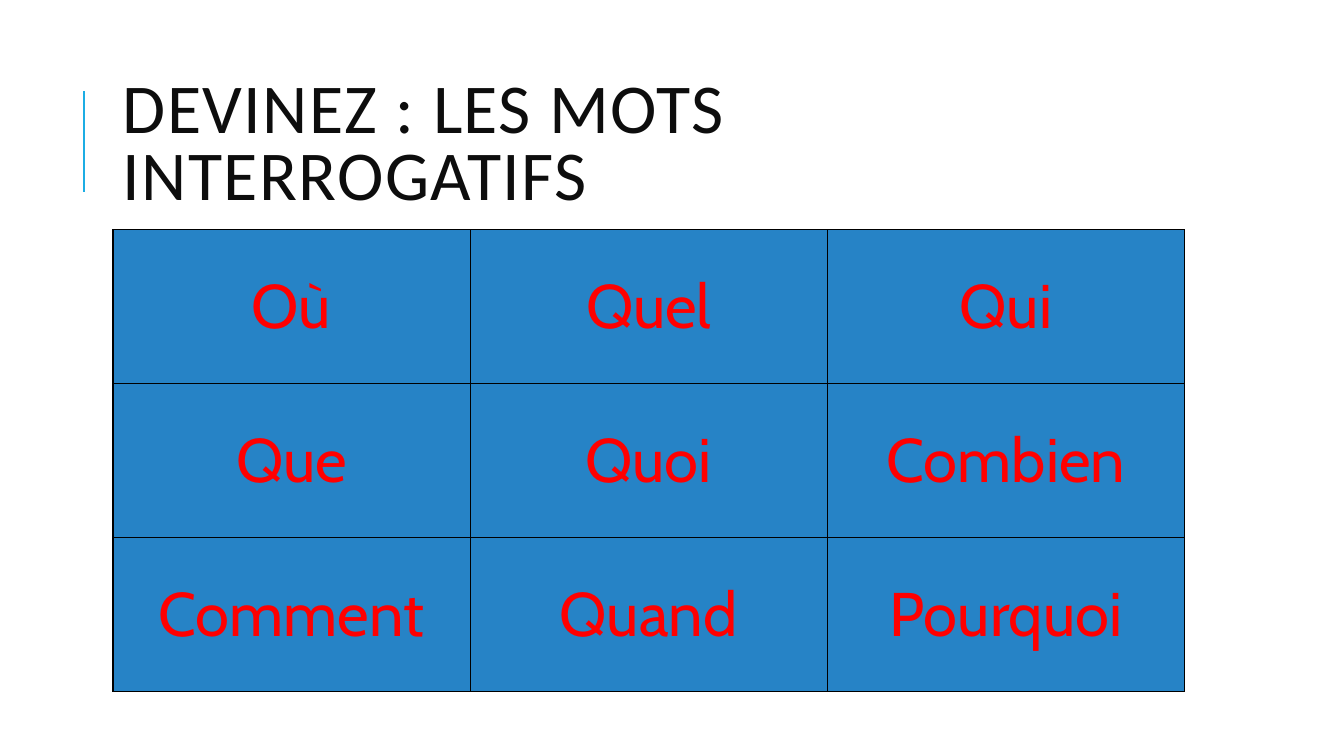
from lxml.etree import SubElement
from pptx import Presentation
from pptx.dml.color import RGBColor
from pptx.enum.shapes import MSO_CONNECTOR
from pptx.enum.text import MSO_ANCHOR, PP_ALIGN
from pptx.oxml.ns import qn
from pptx.util import Inches, Pt

ACCENT = RGBColor(0x1C, 0xAD, 0xE4)
INK = RGBColor(0x0D, 0x0D, 0x0D)
CELL_BLUE = RGBColor(0x26, 0x83, 0xC6)
WORD_RED = RGBColor(0xFF, 0x00, 0x00)
BORDER = RGBColor(0x00, 0x00, 0x00)

# Content column shared by the title and the table
LEFT, WIDTH = Inches(1.12), Inches(10.63)
TITLE_TOP, TITLE_HEIGHT = Inches(0.64), Inches(1.64)
TABLE_TOP, TABLE_HEIGHT = TITLE_TOP + TITLE_HEIGHT, Inches(4.58)

QUESTION_WORDS = [
    ["Où", "Quel", "Qui"],
    ["Que", "Quoi", "Combien"],
    ["Comment", "Quand", "Pourquoi"],
]


def style_paragraph(p, font, size, color):
    p.font.name = font
    p.font.size = Pt(size)
    p.font.color.rgb = color


def add_accent_line(s, x, top, bottom):
    line = s.shapes.add_connector(MSO_CONNECTOR.STRAIGHT, x, bottom, x, top)
    line.line.color.rgb = ACCENT
    line.line.width = Pt(1.5)
    SubElement(line._element.spPr, qn("a:effectLst"))


def add_title(s, text):
    tf = s.shapes.add_textbox(LEFT, TITLE_TOP, WIDTH, TITLE_HEIGHT).text_frame
    tf.word_wrap = True
    tf.vertical_anchor = MSO_ANCHOR.MIDDLE
    p = tf.paragraphs[0]
    r = p.add_run()
    r.text = text
    p.line_spacing = 0.8
    style_paragraph(p, "Calibri", 50, INK)
    # Letter spacing of one point
    r._r.get_or_add_rPr().set("spc", "100")


def add_borders(cell):
    tcPr = cell._tc.get_or_add_tcPr()
    for i, side in enumerate(("lnL", "lnR", "lnT", "lnB")):
        ln = tcPr.makeelement(qn(f"a:{side}"), {"w": str(Pt(1))})
        fill = SubElement(ln, qn("a:solidFill"))
        SubElement(fill, qn("a:srgbClr"), val=str(BORDER))
        tcPr.insert(i, ln)


def fill_cell(cell, word):
    cell.fill.solid()
    cell.fill.fore_color.rgb = CELL_BLUE
    cell.vertical_anchor = MSO_ANCHOR.MIDDLE
    cell.text = word
    p = cell.text_frame.paragraphs[0]
    p.alignment = PP_ALIGN.CENTER
    style_paragraph(p, "Cabin", 44, WORD_RED)
    add_borders(cell)


def add_word_grid(s, words):
    table = s.shapes.add_table(len(words), len(words[0]), LEFT, TABLE_TOP,
                               WIDTH, TABLE_HEIGHT).table
    table.first_row = False
    table.horz_banding = False
    for i, row in enumerate(words):
        for j, word in enumerate(row):
            fill_cell(table.cell(i, j), word)


def main():
    prs = Presentation()
    prs.slide_width, prs.slide_height = Inches(13.33), Inches(7.5)
    s = prs.slides.add_slide(prs.slide_layouts[6])

    # Heading
    add_accent_line(s, Inches(0.83), Inches(0.9), Inches(1.9))
    add_title(s, "DEVINEZ : LES MOTS INTERROGATIFS")

    # Question words
    add_word_grid(s, QUESTION_WORDS)

    prs.save("out.pptx")


if __name__ == "__main__":
    main()
